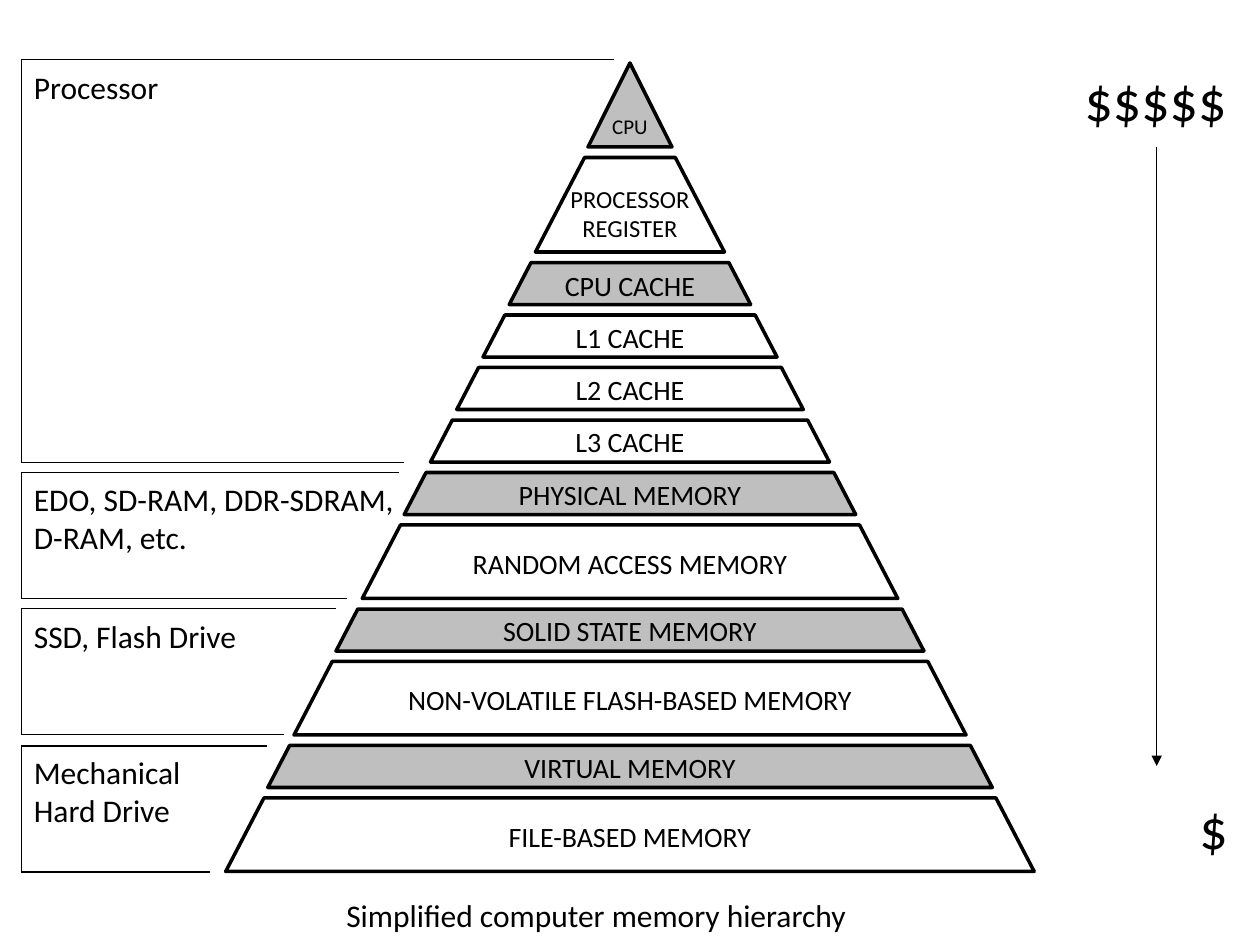
import pptx
import pptx.util
import pptx.dml.color
import pptx.enum.shapes
import pptx.enum.text
import pptx.oxml
import pptx.oxml.xmlchemy
from pptx.util import Inches

BLACK, GREY = "000000", "BFBFBF"
SHAPES = pptx.enum.shapes.MSO_SHAPE
ALIGN = pptx.enum.text.PP_ALIGN

deck = pptx.Presentation()
deck.slide_width, deck.slide_height = Inches(10), Inches(7.5)
page = deck.slides.add_slide(deck.slide_layouts[6])


def color(value):
    return pptx.dml.color.RGBColor.from_string(value)


def write(frame, lines, size, align=ALIGN.LEFT):
    for index, line in enumerate(lines):
        para = frame.paragraphs[0] if index == 0 else frame.add_paragraph()
        para.alignment = align
        span = para.add_run()
        span.text = line
        span.font.name = "Calibri"
        span.font.size = pptx.util.Pt(size)
        span.font.color.rgb = color(BLACK)


# Pyramid levels: label, height in twelfths of an inch, text size, fill
levels = [
    ("CPU", 8, 12, GREY),
    ("PROCESSOR REGISTER", 9, 14, None),
    ("CPU CACHE", 4, 16, GREY),
    ("L1 CACHE", 4, 16, None),
    ("L2 CACHE", 4, 16, None),
    ("L3 CACHE", 4, 16, None),
    ("PHYSICAL MEMORY", 4, 16, GREY),
    ("RANDOM ACCESS MEMORY", 7, 16, None),
    ("SOLID STATE MEMORY", 4, 16, GREY),
    ("NON-VOLATILE FLASH-BASED MEMORY", 7, 16, None),
    ("VIRTUAL MEMORY", 4, 16, GREY),
    ("FILE-BASED MEMORY", 7, 16, None),
]
apex, center, gap = 0.5, 5, 1 / 12
top = apex
for label, twelfths, size, fill in levels:
    height = twelfths / 12
    width = top + height - apex  # each base is as wide as its depth below the apex
    kind = SHAPES.ISOSCELES_TRIANGLE if top == apex else SHAPES.TRAPEZOID
    level = page.shapes.add_shape(kind, Inches(center - width / 2), Inches(top),
                                  Inches(width), Inches(height))
    if kind == SHAPES.TRAPEZOID:
        level.adjustments[0] = 0.52
    level.shadow.inherit = False
    if fill:
        level.fill.solid()
        level.fill.fore_color.rgb = color(fill)
    else:
        level.fill.background()
    level.line.color.rgb = color(BLACK)
    level.line.width = pptx.util.Pt(2)
    frame = level.text_frame
    frame.margin_left = frame.margin_right = frame.margin_top = frame.margin_bottom = 0
    frame.vertical_anchor = pptx.enum.text.MSO_ANCHOR.MIDDLE
    frame.word_wrap = True
    write(frame, [label], size, ALIGN.CENTER)
    top += height + gap

# Brackets on the left: top, bottom, right ends of both rules, label top, lines
left = 0.17
brackets = [
    (0.47, 3.67, 4.87, 3.21, 0.49, ["Processor"]),
    (3.75, 4.75, 3.17, 2.75, 3.76, ["EDO, SD-RAM, DDR-SDRAM,", "D-RAM, etc."]),
    (4.83, 5.83, 2.67, 2.25, 4.85, ["SSD, Flash Drive"]),
    (5.92, 6.92, 2.12, 1.67, 5.93, ["Mechanical", "Hard Drive"]),
]
rules = []
texts = []
for upper, lower, upper_end, lower_end, label_top, lines in brackets:
    rules += [(left, upper, upper_end, upper),
              (left, upper, left, lower),
              (left, lower, lower_end, lower)]
    label_height = 0.4 if len(lines) == 1 else 0.71
    texts.append((left, label_top, 3.88, label_height, lines, 18, True))

# Cost scale and caption
cost_arrow = (9.18, 1.17, 9.18, 6.08)
rules.append(cost_arrow)
texts += [
    (8.51, 0.47, 1.34, 0.64, ["$$$$$"], 32, False),
    (9.42, 6.25, 0.43, 0.64, ["$"], 32, False),
    (2.65, 7.06, 4.22, 0.4, ["Simplified computer memory hierarchy"], 18, False),
]

# Draw rules; only the cost arrow has a head
for rule in rules:
    line = page.shapes.add_connector(pptx.enum.shapes.MSO_CONNECTOR.STRAIGHT,
                                     *[Inches(value) for value in rule])
    line.line.color.rgb = color(BLACK)
    line.line.width = pptx.util.Pt(0.75)
    if rule == cost_arrow:
        head = pptx.oxml.xmlchemy.OxmlElement("a:tailEnd")
        head.set("type", "triangle")
        line.line._get_or_add_ln().append(head)
    line._element.spPr.append(pptx.oxml.xmlchemy.OxmlElement("a:effectLst"))

# Draw texts
for x, y, width, height, lines, size, wrap in texts:
    box = page.shapes.add_textbox(Inches(x), Inches(y), Inches(width), Inches(height))
    box.text_frame.word_wrap = wrap
    box.text_frame.auto_size = pptx.enum.text.MSO_AUTO_SIZE.SHAPE_TO_FIT_TEXT
    write(box.text_frame, lines, size)

deck.save("out.pptx")
